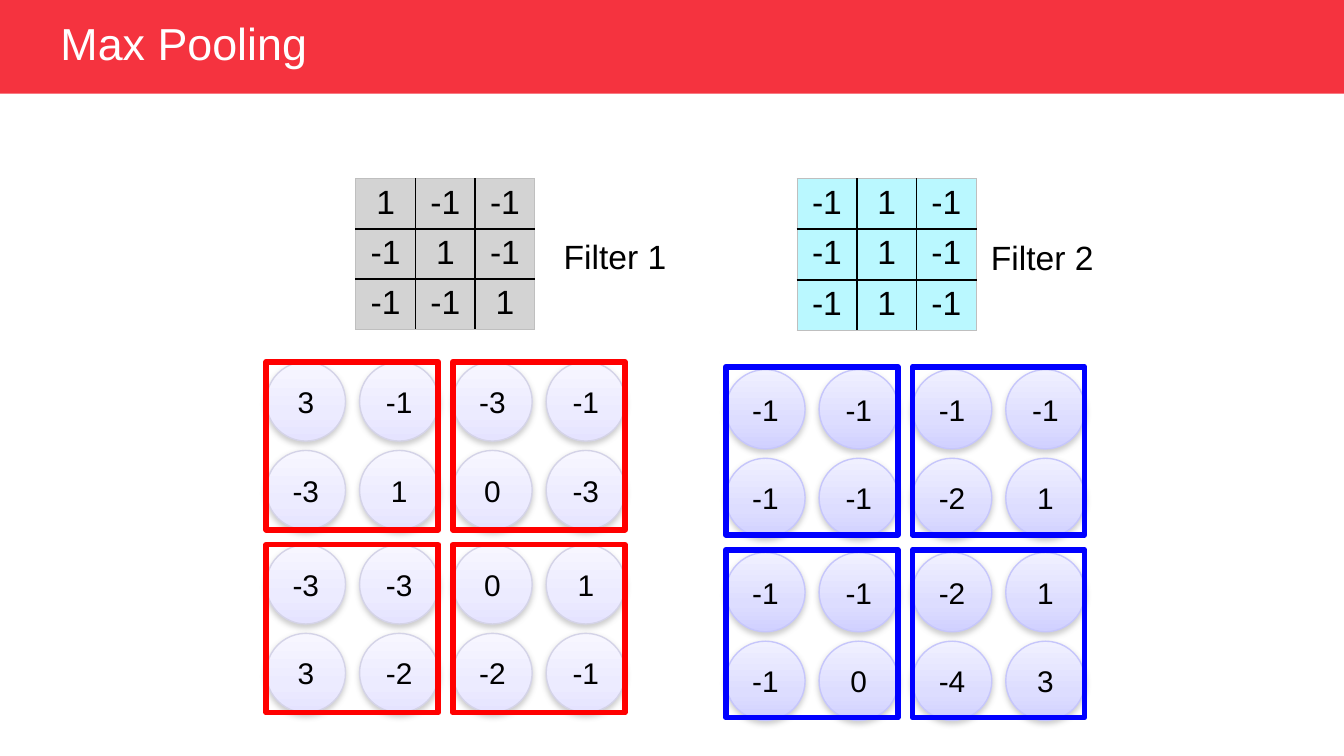
from itertools import product
from pptx import Presentation
from pptx.dml.color import RGBColor
from pptx.enum.shapes import MSO_SHAPE as Shape
from pptx.enum.text import MSO_ANCHOR as Anchor, MSO_AUTO_SIZE as AutoSize, PP_ALIGN as Align
from pptx.oxml import parse_xml
from pptx.oxml.ns import nsdecls, qn
from pptx.util import Pt


def color(value):
    return RGBColor.from_string(value)


def apply(target, values):
    for name, value in values.items():
        setattr(target, name, value)


class PoolingSlide:
    FONT = "Arial"
    TEXT = "000000"
    BAR = "F5333F"
    SIZES = {"title": 24, "label": 18, "value": 16}

    def __init__(self, prs):
        self.s = prs.slides.add_slide(prs.slide_layouts[5])

    def text(self, tf, text, kind, rgb=TEXT, align=Align.CENTER, **frame):
        apply(tf, frame)
        p = tf.paragraphs[0]
        p.alignment = align
        r = p.add_run()
        r.text = text
        apply(r.font, {"name": self.FONT, "size": Pt(self.SIZES[kind])})
        r.font.color.rgb = color(rgb)
        return p

    def shape(self, kind, x, y, w, h, line=None, weight=1):
        sp = self.s.shapes.add_shape(kind, Pt(x), Pt(y), Pt(w), Pt(h))
        sp.shadow.inherit = False
        sp.fill.background()
        if line:
            sp.line.color.rgb = color(line)
            sp.line.width = Pt(weight)
        else:
            sp.line.fill.background()
        return sp

    def title(self, text, width, height):
        bar = self.shape(Shape.RECTANGLE, 0, 0, width, height)
        bar.fill.solid()
        bar.fill.fore_color.rgb = color(self.BAR)
        title = self.s.shapes.title
        bar._element.addnext(title._element)
        apply(title, {"left": Pt(25.2), "top": Pt(9.4), "width": Pt(294.5), "height": Pt(30.2)})
        p = self.text(title.text_frame, text, "title", "FFFFFF", Align.LEFT, word_wrap=True,
                      auto_size=AutoSize.NONE, vertical_anchor=Anchor.MIDDLE)
        p.line_spacing = 0.9

    def label(self, text, x, y):
        tb = self.s.shapes.add_textbox(Pt(x), Pt(y), Pt(85.7), Pt(28.8))
        self.text(tb.text_frame, text, "label", word_wrap=True,
                  auto_size=AutoSize.SHAPE_TO_FIT_TEXT)

    def border(self, cell, side, rgb, weight):
        cell._tc.get_or_add_tcPr().append(parse_xml(
            f'<a:{side} {nsdecls("a")} w="{Pt(weight)}"><a:solidFill>'
            f'<a:srgbClr val="{rgb}"/></a:solidFill></a:{side}>'))

    def filter_table(self, rows, x, y, fill, cell_w=32, cell_h=27):
        n = len(rows)
        table = self.s.shapes.add_table(n, n, Pt(x), Pt(y), Pt(n * cell_w), Pt(n * cell_h)).table
        apply(table, {"first_row": False, "horz_banding": False})
        for column, row in zip(table.columns, table.rows):
            column.width, row.height = Pt(cell_w), Pt(cell_h)
        for i, j in product(range(n), repeat=2):
            cell = table.cell(i, j)
            apply(cell, {"margin_left": Pt(5.5), "margin_right": Pt(5.5),
                         "margin_top": Pt(2.75), "margin_bottom": Pt(2.75)})
            edges = {"lnL": j == 0, "lnR": j == n - 1, "lnT": i == 0, "lnB": i == n - 1}
            for side, outer in edges.items():
                self.border(cell, side, *(("BFBFBF", 0.5) if outer else (self.TEXT, 1)))
            cell.fill.solid()
            cell.fill.fore_color.rgb = color(fill)
            self.text(cell.text_frame, str(rows[i][j]), "label")

    def circle(self, value, x, y, stops, line):
        sp = self.shape(Shape.OVAL, x, y, 42.5, 42.5, line, 0.75)
        spPr = sp._element.spPr
        gs = "".join(f'<a:gs pos="{pos}000"><a:srgbClr val="{rgb}"/></a:gs>'
                     for pos, rgb in zip((0, 65, 100), stops))
        spPr.replace(spPr.find(qn("a:noFill")), parse_xml(
            f'<a:gradFill {nsdecls("a")} rotWithShape="1"><a:gsLst>{gs}</a:gsLst>'
            '<a:lin ang="5400000" scaled="0"/></a:gradFill>'))
        spPr.find(qn("a:effectLst")).append(parse_xml(
            f'<a:outerShdw {nsdecls("a")} blurRad="{Pt(3.1)}" dist="{Pt(1.6)}" dir="5400000" '
            'rotWithShape="0"><a:srgbClr val="808080"><a:alpha val="38000"/></a:srgbClr>'
            '</a:outerShdw>'))
        self.text(sp.text_frame, str(value), "value", word_wrap=False,
                  vertical_anchor=Anchor.MIDDLE, margin_left=0, margin_right=0)

    def feature_map(self, values, x, y, frame_y, stops, line, frame):
        for i, j in product(range(4), repeat=2):
            block, inner = divmod(i, 2)
            self.circle(values[i][j], x + 50 * j, y + 98 * block + 47.5 * inner, stops, line)
        for i, j in product(range(2), repeat=2):
            self.shape(Shape.RECTANGLE, x + 100 * j, frame_y + 98 * i, 92.2, 90, frame, 3)


def main():
    prs = Presentation()
    apply(prs, {"slide_width": Pt(720), "slide_height": Pt(405)})
    slide = PoolingSlide(prs)
    slide.title("Max Pooling", 720, 50.2)

    slide.filter_table([[1, -1, -1], [-1, 1, -1], [-1, -1, 1]], 190.6, 95.6, "D3D3D3")
    slide.label("Filter 1", 286.6, 122.6)
    slide.feature_map([[3, -1, -3, -1], [-3, 1, 0, -3], [-3, -3, 0, 1], [3, -2, -2, -1]],
                      142.6, 193.8, 193.8, ("F7F6FF", "ECEBFF", "E5E3FF"), "D4D3E7", "FF0000")

    slide.filter_table([[-1, 1, -1]] * 3, 427, 95.6, "BAF8FF")
    slide.label("Filter 2", 515.5, 123.4)
    slide.feature_map([[-1, -1, -1, -1], [-1, -1, -2, 1], [-1, -1, -2, 1], [-1, 0, -4, 3]],
                      388.8, 198, 196.5, ("F0F0FF", "DDDDFF", "D0D0FF"), "C6C6FB", "0000FF")
    prs.save("out.pptx")


if __name__ == "__main__":
    main()
